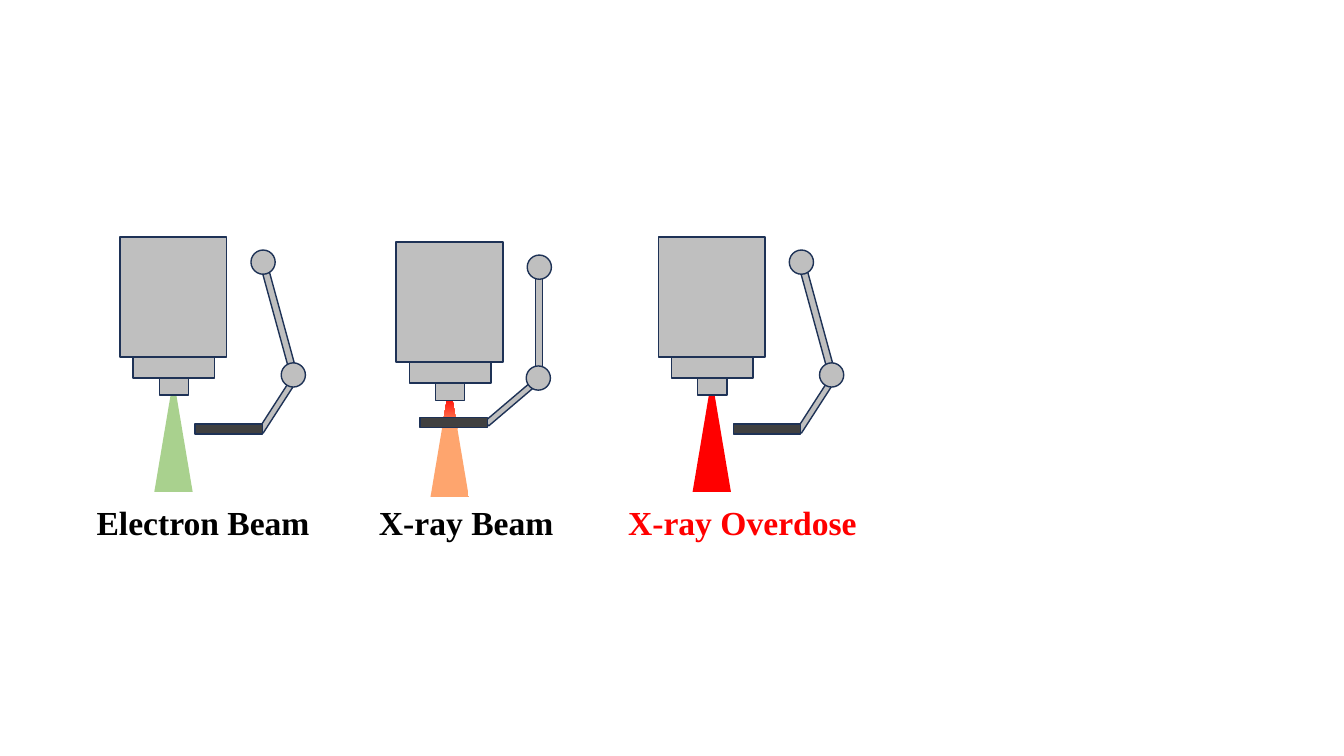
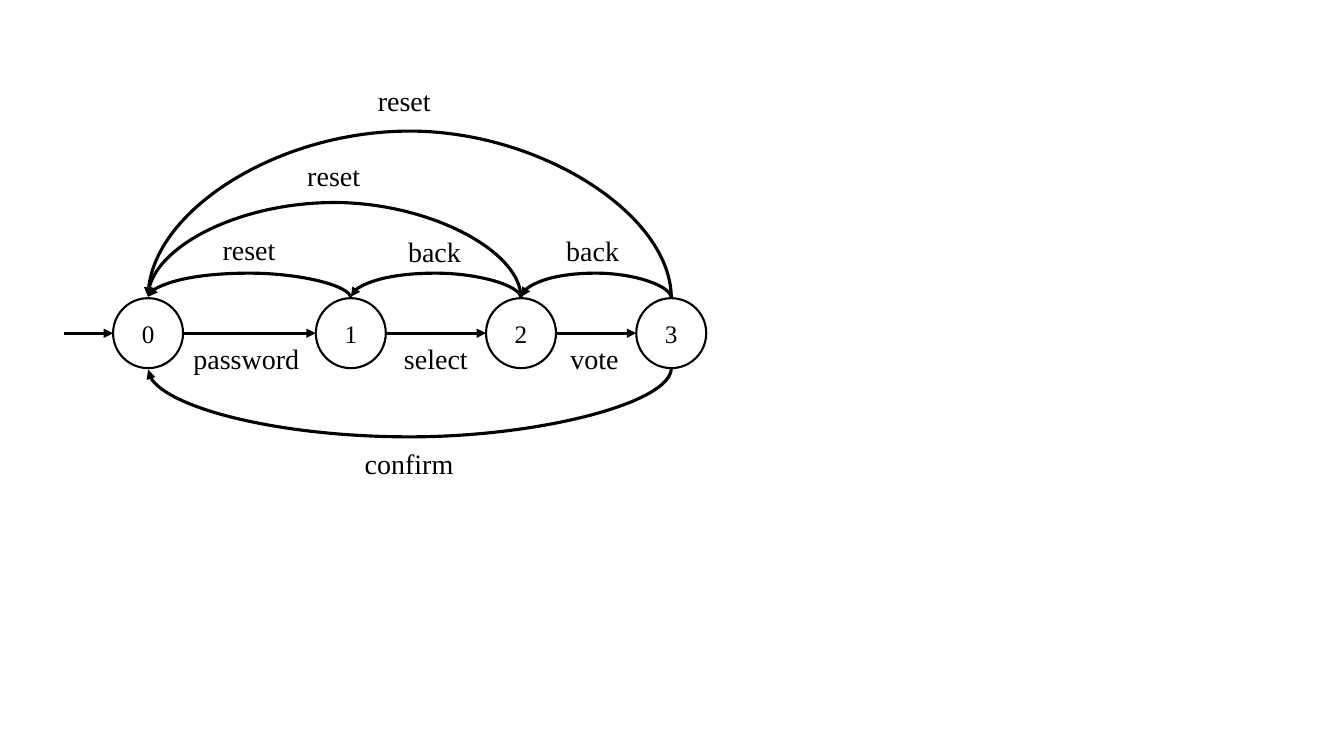
from dataclasses import dataclass

from lxml import etree
from pptx import Presentation
from pptx import util as u
from pptx.dml.color import RGBColor
from pptx.enum import shapes, text
from pptx.oxml.ns import qn

FONT = "Times New Roman"
BLACK, WHITE, RED = "000000", "FFFFFF", "FF0000"
STEEL, OUTLINE, PLATE = "BFBFBF", "1E3256", "404040"
GREEN, ORANGE = "A9D18E", "FEA56E"

RECTANGLE = shapes.MSO_SHAPE.RECTANGLE
OVAL = shapes.MSO_SHAPE.OVAL
TRIANGLE = shapes.MSO_SHAPE.ISOSCELES_TRIANGLE
CENTER = text.PP_ALIGN.CENTER
LEFT = text.PP_ALIGN.LEFT


@dataclass(frozen=True)
class Part:
    left: float
    top: float
    width: float
    height: float
    kind: int = RECTANGLE
    fill: str = STEEL
    rotation: float = 0


@dataclass(frozen=True)
class Pose:
    forearm: Part
    upper_arm: Part
    elbow: Part
    plate: Part


@dataclass(frozen=True)
class Machine:
    left: float
    top: float
    pose: Pose
    beam: tuple[str, ...]


@dataclass(frozen=True)
class Label:
    words: str
    left: float
    top: float
    width: float
    height: float = 31.7
    size: float = 20
    color: str = BLACK
    bold: bool = False
    align: int = LEFT


@dataclass(frozen=True)
class Arc:
    start: int
    end: int
    reach: float
    above: bool = True


NOZZLE = Part(28.1, 85.7, 20.9, 27.4)
COLLAR = Part(9.4, 46.8, 58.3, 54)
BODY = Part(0, 0, 76.3, 85.7)
SHOULDER = Part(93.6, 9.4, 17.3, 17.3, OVAL)
BEAM = Part(24.5, 100.8, 27.4, 81.4, TRIANGLE)

RETRACTED = Pose(
    forearm=Part(110.2, 98.6, 4.3, 43.9, rotation=212.8),
    upper_arm=Part(110.9, 18.7, 5, 79.9, rotation=344.7),
    elbow=Part(115.2, 90, 17.3, 17.3, OVAL),
    plate=Part(53.6, 133.6, 48.2, 7.2, fill=PLATE),
)
EXTENDED = Pose(
    forearm=Part(79.2, 93.6, 4.3, 43.9, rotation=229.6),
    upper_arm=Part(99.4, 14.4, 5, 79.9),
    elbow=Part(92.9, 88.6, 17.3, 17.3, OVAL),
    plate=Part(16.9, 125.6, 48.2, 7.2, fill=PLATE),
)

MACHINES = (
    Machine(85.7, 169.2, RETRACTED, (GREEN,)),
    Machine(470.2, 169.2, RETRACTED, (RED,)),
    Machine(283, 172.8, EXTENDED, (ORANGE, RED)),
)
CAPTIONS = (
    Label("Electron Beam", 61.9, 355, 169.2, 36, 24, bold=True),
    Label("X-ray Beam", 248.4, 355, 169.2, 36, 24, bold=True, align=CENTER),
    Label("X-ray Overdose", 434.2, 355, 192.2, 36, 24, RED, True, CENTER),
)

STATE_CENTERS = (105.8, 250.6, 372.2, 479.5)
STATE_MIDDLE = 238
STATE_RADIUS = 25
ENTRY_LEFT = 45.4
ARC_DEPTH = 1

ARCS = (
    Arc(1, 0, 18),
    Arc(2, 1, 18),
    Arc(3, 2, 18),
    Arc(2, 0, 68.86),
    Arc(3, 0, 120.29),
    Arc(3, 0, 49.43, above=False),
)
TRANSITIONS = (
    Label("password", 131, 240.5, 97.2),
    Label("select", 281.5, 240.5, 67),
    Label("vote", 400.3, 240.5, 54),
    Label("confirm", 253.4, 315.4, 95),
    Label("back", 284.4, 164.2, 60.5),
    Label("back", 397.4, 163.5, 60.5),
    Label("reset", 151.9, 162.7, 60.5),
    Label("reset", 212.4, 109.4, 60.5),
    Label("reset", 262.8, 56.2, 60.5),
)


def rgb(color: str) -> RGBColor:
    return RGBColor.from_string(color)


def add_run(paragraph, words: str, size: float, color: str, bold: bool = False) -> None:
    run = paragraph.add_run()
    run.text = words
    run.font.name = FONT
    run.font.size = u.Pt(size)
    run.font.bold = bold
    run.font.color.rgb = rgb(color)


def add_label(slide, label: Label) -> None:
    box = slide.shapes.add_textbox(
        u.Pt(label.left), u.Pt(label.top), u.Pt(label.width), u.Pt(label.height)
    )
    frame = box.text_frame
    frame.word_wrap = True
    frame.auto_size = text.MSO_AUTO_SIZE.SHAPE_TO_FIT_TEXT
    paragraph = frame.paragraphs[0]
    paragraph.alignment = label.align
    add_run(paragraph, label.words, label.size, label.color, label.bold)


def add_part(container, part: Part, left: float = 0, top: float = 0,
             line: str = OUTLINE, line_width: float = 1):
    shape = container.shapes.add_shape(
        part.kind, u.Pt(left + part.left), u.Pt(top + part.top),
        u.Pt(part.width), u.Pt(part.height),
    )
    shape.shadow.inherit = False
    shape.rotation = part.rotation
    shape.fill.solid()
    shape.fill.fore_color.rgb = rgb(part.fill)
    shape.line.color.rgb = rgb(line)
    shape.line.width = u.Pt(line_width)
    return shape


def paint_beam(shape, colors: tuple[str, ...]) -> None:
    shape.line.fill.background()
    if len(colors) == 1:
        shape.fill.fore_color.rgb = rgb(colors[0])
        return
    shape.fill.gradient()
    shape.fill.gradient_angle = 90
    for stop, color, position in zip(shape.fill.gradient_stops, colors, (0.59, 0.89)):
        stop.color.rgb = rgb(color)
        stop.position = position


def add_machine(slide, machine: Machine) -> None:
    group = slide.shapes.add_group_shape()
    pose = machine.pose
    add_part(group, pose.forearm, machine.left, machine.top)
    paint_beam(add_part(group, BEAM, machine.left, machine.top), machine.beam)
    for part in (NOZZLE, COLLAR, BODY, pose.upper_arm, pose.elbow, SHOULDER, pose.plate):
        add_part(group, part, machine.left, machine.top)


def add_arrow(slide, kind: int, start: tuple[float, float], end: tuple[float, float]):
    connector = slide.shapes.add_connector(
        kind, u.Pt(start[0]), u.Pt(start[1]), u.Pt(end[0]), u.Pt(end[1])
    )
    connector.line.color.rgb = rgb(BLACK)
    connector.line.width = u.Pt(2.25)
    etree.SubElement(connector.get_or_add_ln(), qn("a:tailEnd"), type="triangle")
    etree.SubElement(connector._element.spPr, qn("a:effectLst"))
    return connector


def add_arc(slide, arc: Arc) -> None:
    start, end = STATE_CENTERS[arc.start], STATE_CENTERS[arc.end]
    side = -1 if arc.above else 1
    middle_x = (start + end) / 2
    middle_y = STATE_MIDDLE + side * (STATE_RADIUS + ARC_DEPTH / 2)
    half = (start - end) / 2
    connector = add_arrow(
        slide, shapes.MSO_CONNECTOR.CURVE,
        (middle_x - ARC_DEPTH / 2, middle_y - side * half),
        (middle_x + ARC_DEPTH / 2, middle_y + side * half),
    )
    properties = connector._element.spPr
    turn = 270 if arc.above else 90
    properties.find(qn("a:xfrm")).set("rot", str(turn * 60000))
    adjustments = properties.find(qn("a:prstGeom")).find(qn("a:avLst"))
    bend = round(arc.reach / ARC_DEPTH * 100000)
    etree.SubElement(adjustments, qn("a:gd"), name="adj1", fmla=f"val {bend}")


def add_state(slide, number: int, center: float) -> None:
    diameter = 2 * STATE_RADIUS
    circle = Part(center - STATE_RADIUS, STATE_MIDDLE - STATE_RADIUS,
                  diameter, diameter, OVAL, WHITE)
    shape = add_part(slide, circle, line=BLACK, line_width=1.5)
    shape.text_frame.vertical_anchor = text.MSO_ANCHOR.MIDDLE
    paragraph = shape.text_frame.paragraphs[0]
    paragraph.alignment = CENTER
    add_run(paragraph, str(number), 18, BLACK)


def build_beam_slide(slide) -> None:
    for machine in MACHINES:
        add_machine(slide, machine)
    for caption in CAPTIONS:
        add_label(slide, caption)


def build_state_slide(slide) -> None:
    for number, center in enumerate(STATE_CENTERS):
        add_state(slide, number, center)
    starts = (ENTRY_LEFT, *(center + STATE_RADIUS for center in STATE_CENTERS[:-1]))
    for start, center in zip(starts, STATE_CENTERS):
        add_arrow(slide, shapes.MSO_CONNECTOR.STRAIGHT,
                  (start, STATE_MIDDLE), (center - STATE_RADIUS, STATE_MIDDLE))
    for arc in ARCS:
        add_arc(slide, arc)
    for label in TRANSITIONS:
        add_label(slide, label)


def main() -> None:
    presentation = Presentation()
    presentation.slide_width = u.Pt(960)
    presentation.slide_height = u.Pt(540)
    blank = presentation.slide_layouts[6]
    for build in (build_beam_slide, build_state_slide):
        build(presentation.slides.add_slide(blank))
    presentation.save("out.pptx")


if __name__ == "__main__":
    main()
